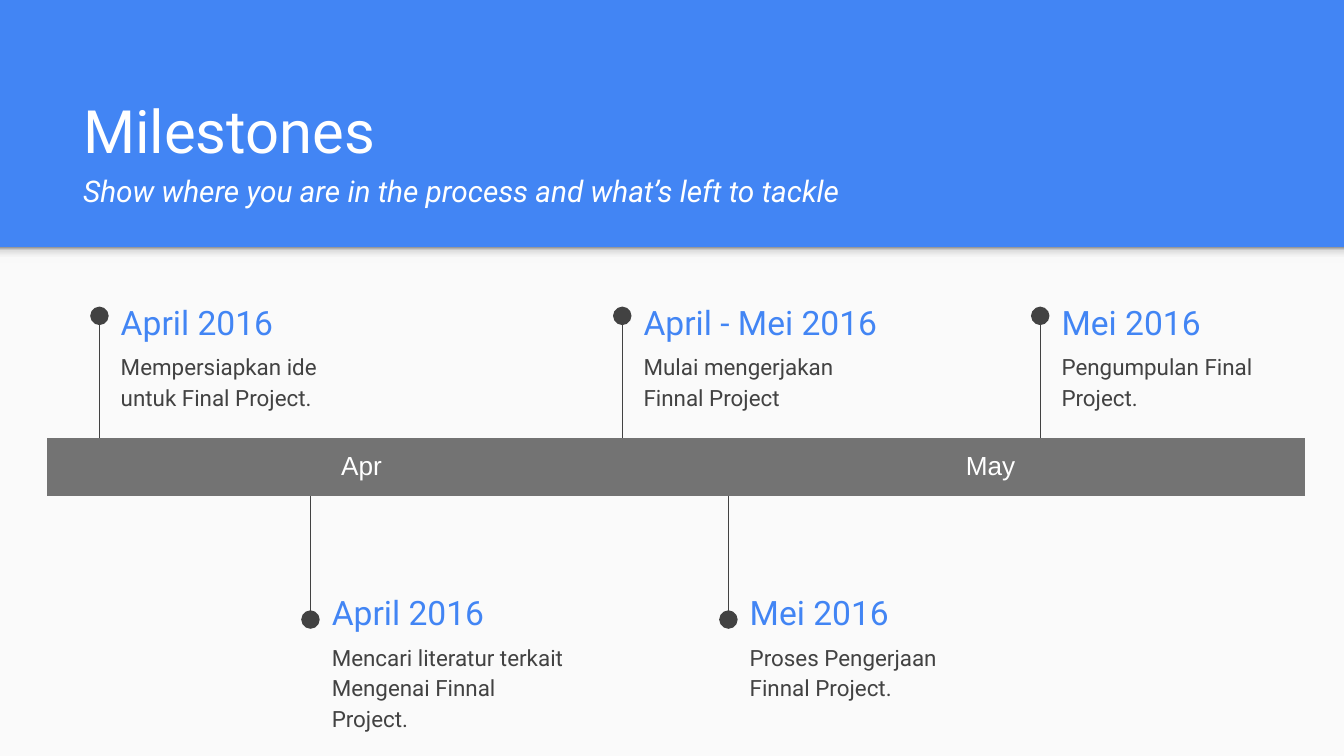
from lxml import etree
from pptx import Presentation
from pptx.dml.color import RGBColor as RGB
from pptx.enum.shapes import MSO_CONNECTOR as LINE, MSO_SHAPE as SHAPE
from pptx.enum.text import MSO_ANCHOR as ANCHOR, PP_ALIGN as ALIGN
from pptx.oxml import parse_xml
from pptx.oxml.ns import nsdecls, qn
from pptx.util import Inches, Pt

HEADING = "Milestones"
SUBTITLE = "Show where you are in the process and what’s left to tackle"
MONTHS = ["Apr", "May"]
MILESTONES = [
    (0.74, "above", "April 2016", "Mempersiapkan ide untuk Final Project."),
    (2.31, "below", "April 2016", "Mencari literatur terkait Mengenai Finnal Project."),
    (4.63, "above", "April - Mei 2016", "Mulai mengerjakan Finnal Project"),
    (5.42, "below", "Mei 2016", "Proses Pengerjaan Finnal Project."),
    (7.74, "above", "Mei 2016", "Pengumpulan Final Project."),
]
SIDES = {
    "above": {"stem": (3.26, 2.35), "date": 2.18},
    "below": {"stem": (3.69, 4.61), "date": 4.34},
}
THEME = {
    "font": "Roboto", "bar_font": "Arial",
    "blue": "4285F4", "paper": "FAFAFA", "ink": "424242",
    "bar": "737373", "white": "FFFFFF",
    "heading": 32, "subtitle": 16, "date": 18, "detail": 12, "month": 14,
    "shade": [(0, "F9F9F9"), (36, "F9F9F9"), (80, "DEDEDE"), (100, "999999")],
}
WIDTH, BAND = 10, 1.84
HEIGHT = WIDTH * 9 / 16
BAR_LEFT, BAR_TOP, MONTH_WIDTH, BAR_HEIGHT = 0.35, 3.26, 4.68, 0.42
LABEL_GAP, LABEL_WIDTH, DETAIL_DROP = 0.06, 1.98, 0.32


def color(name):
    return RGB.from_string(THEME[name])


def style(paragraph, size, ink, font="font", italic=None):
    paragraph.font.name = THEME[font]
    paragraph.font.size = Pt(THEME[size])
    paragraph.font.color.rgb = color(ink)
    paragraph.font.italic = italic


def add_text(slide, box, lines, anchor, after=0, spacing=None):
    frame = slide.shapes.add_textbox(*map(Inches, box)).text_frame
    frame.word_wrap = True
    frame.vertical_anchor = anchor
    frame.margin_left = frame.margin_right = Inches(0.1)
    frame.margin_top = frame.margin_bottom = Inches(0.1)
    for i, (text, size, ink, italic) in enumerate(lines):
        paragraph = frame.add_paragraph() if i else frame.paragraphs[0]
        paragraph.text = text
        paragraph.space_after = Pt(after)
        paragraph.line_spacing = spacing
        style(paragraph, size, ink, italic=italic)


def add_panel(slide, height):
    panel = slide.shapes.add_shape(
        SHAPE.RECTANGLE, 0, Inches(BAND), Inches(WIDTH), Inches(height))
    panel.shadow.inherit = False
    panel.line.fill.background()
    return panel


def add_background(slide):
    slide.background.fill.solid()
    slide.background.fill.fore_color.rgb = color("blue")
    paper = add_panel(slide, HEIGHT - BAND)
    paper.fill.solid()
    paper.fill.fore_color.rgb = color("paper")
    shade = add_panel(slide, 0.12)
    shade.fill.gradient()
    shade.fill.gradient_angle = 90
    stops = next(shade.element.iter(qn("a:gsLst")))
    for stop in list(stops):
        stops.remove(stop)
    for position, tone in THEME["shade"]:
        stop = etree.SubElement(stops, qn("a:gs"), pos=str(position * 1000))
        etree.SubElement(stop, qn("a:srgbClr"), val=tone)


def add_stem(slide, x, start, end):
    stem = slide.shapes.add_connector(
        LINE.STRAIGHT, Inches(x), Inches(start), Inches(x), Inches(end))
    stem.line.color.rgb = color("ink")
    stem.line.width = Pt(0.75)
    etree.SubElement(stem.line._get_or_add_ln(), qn("a:tailEnd"),
                     type="oval", w="lg", len="lg")
    etree.SubElement(stem.element.spPr, qn("a:effectLst"))


def add_milestone(slide, x, side, date, detail):
    place = SIDES[side]
    add_stem(slide, x, *place["stem"])
    left, top = x + LABEL_GAP, place["date"]
    add_text(slide, (left, top, LABEL_WIDTH, 0.43),
             [(date, "date", "blue", None)], ANCHOR.MIDDLE)
    add_text(slide, (left, top + DETAIL_DROP, LABEL_WIDTH, 0.63),
             [(detail, "detail", "ink", None)], ANCHOR.TOP, spacing=1.15)


def add_month_bar(slide):
    bar = slide.shapes.add_table(
        1, len(MONTHS), Inches(BAR_LEFT), Inches(BAR_TOP),
        Inches(MONTH_WIDTH * len(MONTHS)), Inches(BAR_HEIGHT)).table
    bar.first_row = bar.horz_banding = False
    for cell, month in zip(bar.iter_cells(), MONTHS):
        cell.text = month
        cell.margin_left = cell.margin_right = Inches(0.1)
        cell.margin_top = cell.margin_bottom = Inches(0.1)
        cell.fill.solid()
        cell.fill.fore_color.rgb = color("bar")
        paragraph = cell.text_frame.paragraphs[0]
        paragraph.alignment = ALIGN.CENTER
        style(paragraph, "month", "white", "bar_font")
        for i, edge in enumerate(("lnL", "lnR", "lnT", "lnB")):
            cell._tc.tcPr.insert(i, parse_xml(
                f'<a:{edge} {nsdecls("a")}><a:noFill/></a:{edge}>'))


def main():
    deck = Presentation()
    deck.slide_width, deck.slide_height = Inches(WIDTH), Inches(HEIGHT)
    slide = deck.slides.add_slide(deck.slide_layouts[6])
    add_background(slide)
    add_text(slide, (0.52, 0.81, 8.99, 0.84),
             [(HEADING, "heading", "white", None),
              (SUBTITLE, "subtitle", "white", True)], ANCHOR.BOTTOM, after=4)
    for milestone in MILESTONES:
        add_milestone(slide, *milestone)
    add_month_bar(slide)
    deck.save("out.pptx")


if __name__ == "__main__":
    main()
